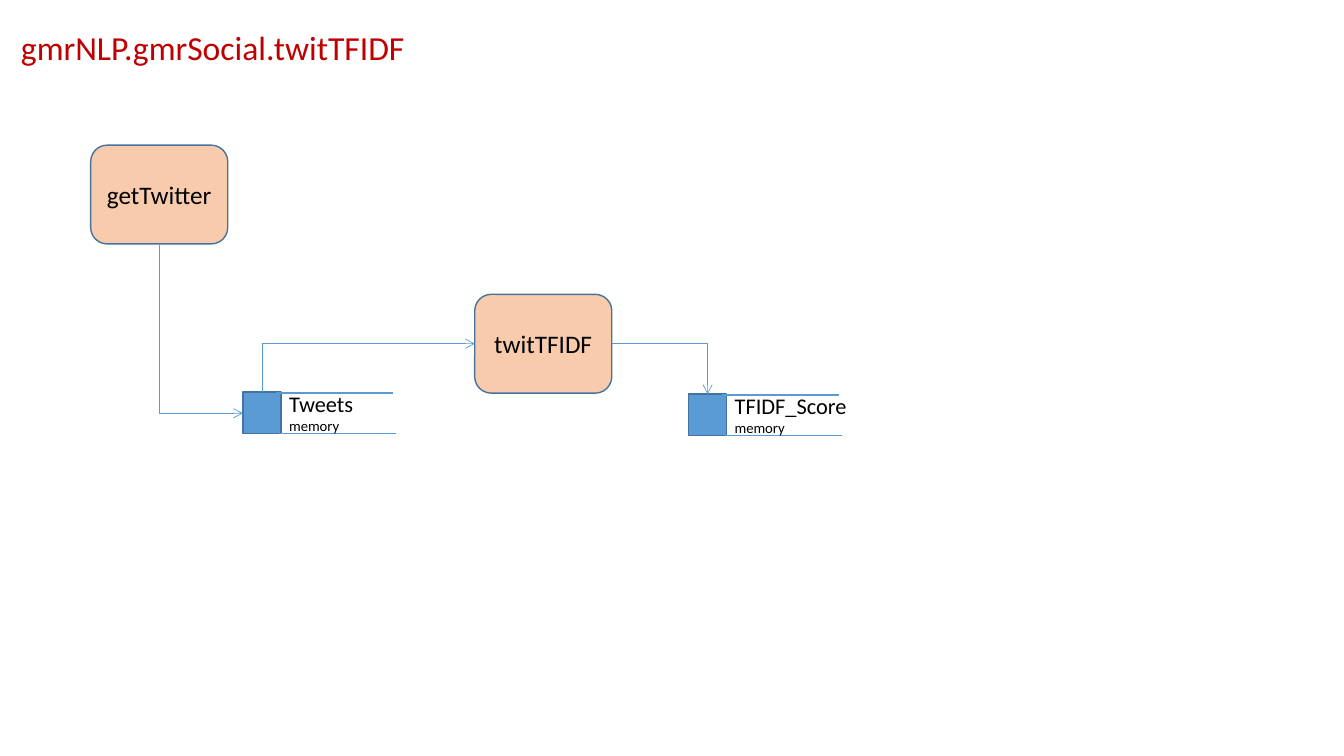
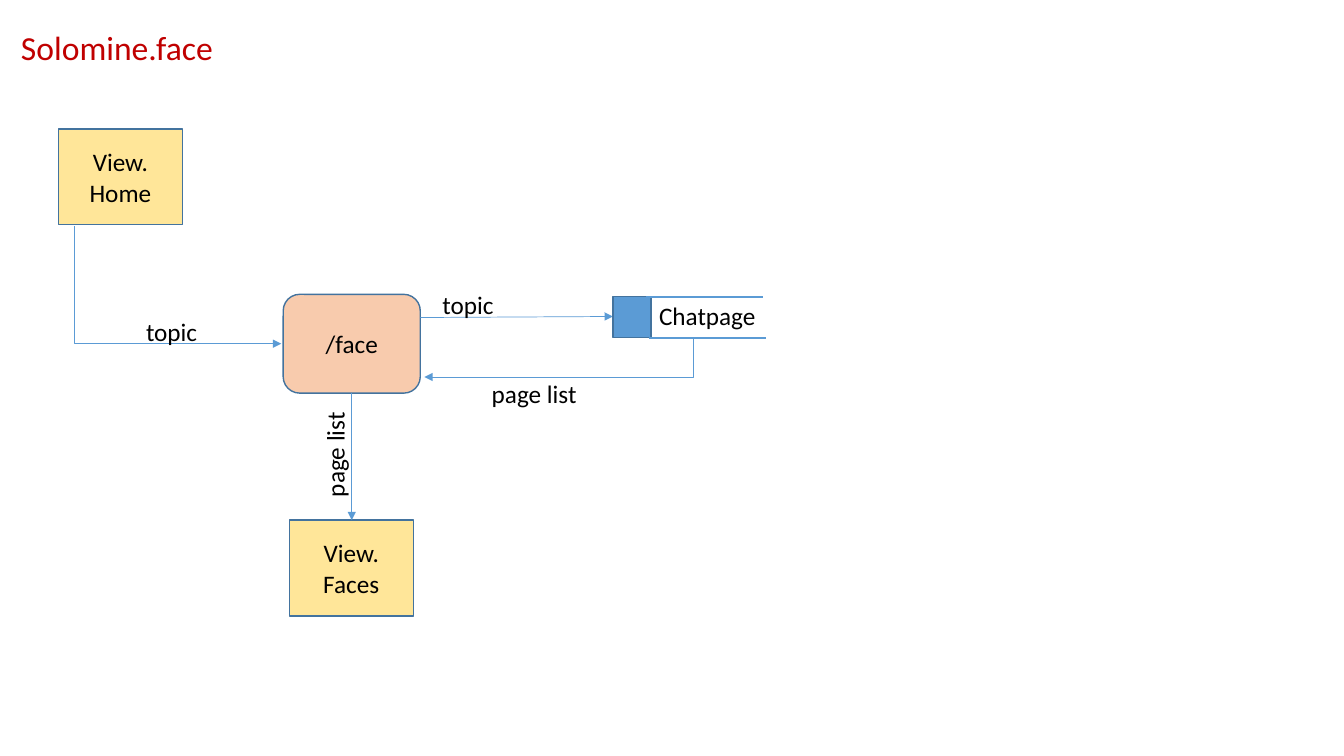
"""Build two data-flow slides on a grid of tenth-inch cells."""
from dataclasses import dataclass

from lxml import etree
from pptx import Presentation
from pptx import util as u
from pptx.dml.color import RGBColor
from pptx.enum import shapes, text
from pptx.oxml.ns import qn


@dataclass(frozen=True)
class Theme:
    """Colours, type sizes and line widths of the deck."""
    font: str = "Calibri"
    ink: str = "000000"
    title: str = "C00000"
    step: str = "F8CBAD"
    view: str = "FFE699"
    blue: str = "5B9BD5"
    edge: str = "43739E"
    head: float = 24
    body: float = 18
    store: float = 16
    note: float = 10.5
    thin: float = 0.5
    rim: float = 1
    rail: float = 1.25


@dataclass(frozen=True)
class Node:
    """A step (rounded) or a view (square) with its name."""
    name: str
    col: float
    row: float
    view: bool = False


@dataclass(frozen=True)
class Store:
    """A data store: a block, two rails, a name and a note."""
    name: str
    col: float
    row: float
    note: str = ""


@dataclass(frozen=True)
class Flow:
    """An arrow between two grid points, bent along or down first."""
    start: tuple[float, float]
    end: tuple[float, float]
    bend: str = ""
    tip: str = "triangle"


@dataclass(frozen=True)
class Label:
    """A caption beside a flow."""
    name: str
    col: float
    row: float
    wide: float
    turn: float = 0


@dataclass(frozen=True)
class Page:
    """A titled slide and its marks, from back to front."""
    title: str
    marks: tuple


T = Theme()
COLS, ROWS = 133.33, 75
STEP = (13.6, 9.8)
VIEW = (12.3, 9.5)
BLOCK = (3.8, 4.1)
RAIL = 11.6

PAGES = (
    Page("gmrNLP.gmrSocial.twitTFIDF", (
        Store("Tweets", 24.1, 38.9, "memory"),
        Node("twitTFIDF", 47.1, 29.2),
        Store("TFIDF_Score", 68.3, 39.1, "memory"),
        Flow((60.7, 34.1), (70.2, 39.1), "along", "arrow"),
        Flow((26, 38.9), (47.1, 34.1), "down", "arrow"),
        Node("getTwitter", 9, 14.4),
        Flow((15.8, 24.3), (24.1, 41), "down", "arrow"),
    )),
    Page("Solomine.face", (
        Node("View. Home", 5.8, 12.8, True),
        Flow((7.4, 22.4), (27.9, 34.1), "down"),
        Label("topic", 13.5, 30.9, 15.2),
        Label("page list", 27.9, 43, 10.6, 270),
        Label("page list", 47.8, 37, 12.1),
        Node("View. Faces", 28.7, 51.6, True),
        Node("/face", 28.1, 29.2),
        Flow((41.7, 31.5), (60.8, 31.4)),
        Label("topic", 42.9, 28.2, 15.2),
        Flow((34.9, 39), (34.9, 51.6)),
        Store("Chatpage", 60.8, 29.4),
        Flow((68.8, 33.6), (42.1, 37.4), "down"),
    )),
)


def cell(*spans: float) -> list[int]:
    """Turn grid spans into lengths."""
    return [u.Inches(span / 10) for span in spans]


def tint(code: str) -> RGBColor:
    """Turn a hex code into a colour."""
    return RGBColor.from_string(code)


def style(para, size: float, hue: str = T.ink) -> None:
    """Set the type of each run in a paragraph."""
    for run in para.runs:
        run.font.name, run.font.size = T.font, u.Pt(size)
        run.font.color.rgb = tint(hue)


def write(slide, lines, box, hue: str = T.ink, turn: float = 0) -> None:
    """Add a text box with one (words, size) pair per paragraph."""
    shape = slide.shapes.add_textbox(*cell(*box))
    shape.rotation = turn
    frame = shape.text_frame
    frame.word_wrap = True
    frame.text = "\n".join(words for words, _ in lines)
    for para, (_, size) in zip(frame.paragraphs, lines):
        style(para, size, hue)


def block(slide, kind, box, fill: str):
    """Add a filled shape with the shared rim."""
    shape = slide.shapes.add_shape(kind, *cell(*box))
    shape.shadow.inherit = False
    shape.fill.solid()
    shape.fill.fore_color.rgb = tint(fill)
    shape.line.color.rgb = tint(T.edge)
    shape.line.width = u.Pt(T.rim)
    return shape


def link(slide, start, end, width: float, kind=shapes.MSO_CONNECTOR.STRAIGHT):
    """Add a blue line with no shadow."""
    line = slide.shapes.add_connector(kind, *cell(*start, *end))
    line.line.color.rgb = tint(T.blue)
    line.line.width = u.Pt(width)
    etree.SubElement(line._element.spPr, qn("a:effectLst"))
    return line


def draw_node(slide, node: Node) -> None:
    """Draw a step or a view."""
    forms = shapes.MSO_SHAPE
    kind, size, fill = ((forms.RECTANGLE, VIEW, T.view) if node.view
                        else (forms.ROUNDED_RECTANGLE, STEP, T.step))
    shape = block(slide, kind, (node.col, node.row, *size), fill)
    frame = shape.text_frame
    frame.word_wrap = True
    frame.vertical_anchor = text.MSO_ANCHOR.MIDDLE
    frame.text = node.name
    para = frame.paragraphs[0]
    para.alignment = text.PP_ALIGN.CENTER
    style(para, T.body)


def draw_store(slide, store: Store) -> None:
    """Draw a data store."""
    col, row = store.col, store.row
    block(slide, shapes.MSO_SHAPE.RECTANGLE, (col, row, *BLOCK), T.blue)
    for dx, dy in ((3.3, 0.1), (3.6, 4.1)):
        left, top = col + dx, row + dy
        link(slide, (left, top), (left + RAIL, top), T.rail)
    if store.note:
        lines, lift, tall = [(store.name, T.store), (store.note, T.note)], 0.7, 5.5
    else:
        lines, lift, tall = [(store.name, T.body)], 0.1, 4
    write(slide, lines, (col + 3.6, row - lift, 16.7, tall))


def draw_flow(slide, flow: Flow) -> None:
    """Draw an arrow, straight or with one corner."""
    kinds = shapes.MSO_CONNECTOR
    kind = kinds.ELBOW if flow.bend else kinds.STRAIGHT
    line = link(slide, flow.start, flow.end, T.thin, kind)
    props = line._element.spPr
    etree.SubElement(props.find(qn("a:ln")), qn("a:tailEnd"), type=flow.tip)
    if flow.bend:
        props.find(qn("a:prstGeom")).set("prst", "bentConnector2")
    if flow.bend == "down":
        turn_down(line, flow)


def turn_down(line, flow: Flow) -> None:
    """Rotate a bent line so that its first leg is vertical."""
    (x1, y1), (x2, y2) = flow.start, flow.end
    right, rise = x2 > x1, y2 < y1
    wide, tall = abs(y2 - y1), abs(x2 - x1)
    left, top = (x1 + x2 - wide) / 2, (y1 + y2 - tall) / 2
    line.left, line.top, line.width, line.height = cell(left, top, wide, tall)
    frame = line._element.spPr.find(qn("a:xfrm"))
    frame.set("rot", str((270 if right != rise else 90) * 60000))
    frame.set("flipH", str(int(right)))
    frame.set("flipV", str(int(rise)))


def draw_label(slide, label: Label) -> None:
    """Draw a caption."""
    box = (label.col, label.row, label.wide, 4)
    write(slide, [(label.name, T.body)], box, turn=label.turn)


DRAW = {Node: draw_node, Store: draw_store, Flow: draw_flow, Label: draw_label}


def main() -> None:
    """Build and save the deck."""
    deck = Presentation()
    deck.slide_width, deck.slide_height = cell(COLS, ROWS)
    for page in PAGES:
        slide = deck.slides.add_slide(deck.slide_layouts[6])
        write(slide, [(page.title, T.head)], (1.1, 2.2, 50, 5), T.title)
        for mark in page.marks:
            DRAW[type(mark)](slide, mark)
    deck.save("out.pptx")


if __name__ == "__main__":
    main()
